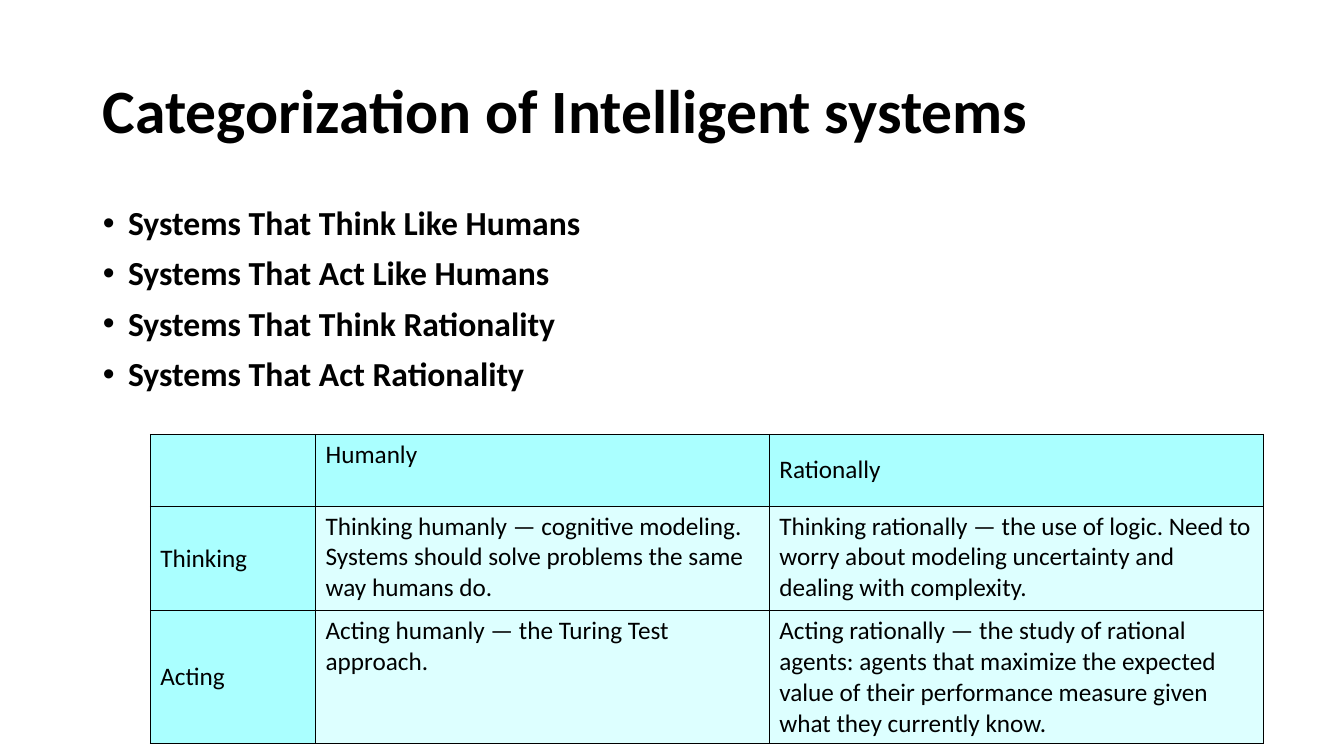
from dataclasses import dataclass
from typing import Any

from lxml.etree import SubElement
from pptx import Presentation
from pptx.dml.color import RGBColor
from pptx.enum.text import MSO_ANCHOR, MSO_AUTO_SIZE, PP_ALIGN
from pptx.oxml.ns import qn
from pptx.util import Inches, Pt

BLACK = "000000"
HEADING_FILL = "AAFFFF"
DETAIL_FILL = "DDFFFF"
COLUMN_WIDTHS = (1.64, 4.5, 4.9)
ROW_HEIGHTS = (0.71, 1.04, 1.32)
BULLET_INDENT = Inches(0.25)

FRAME_FORMAT = {"word_wrap": True, "auto_size": MSO_AUTO_SIZE.NONE}
HEADLINE_FONT = {"name": "Calibri", "size": Pt(44), "bold": True}
SYSTEM_FONT = {"name": "Calibri", "size": Pt(24), "bold": True}
CELL_FONT = {"name": "Calibri", "size": Pt(18), "bold": False}

SYSTEMS = (
    "Systems That Think Like Humans",
    "Systems That Act Like Humans",
    "Systems That Think Rationality",
    "Systems That Act Rationality",
)


@dataclass(frozen=True)
class Category:
    text: str
    fill: str = DETAIL_FILL
    anchor: MSO_ANCHOR = MSO_ANCHOR.TOP


def heading(text: str, anchor: MSO_ANCHOR = MSO_ANCHOR.MIDDLE) -> Category:
    return Category(text, HEADING_FILL, anchor)


CATEGORIES = (
    (heading(""), heading("Humanly", MSO_ANCHOR.TOP), heading("Rationally")),
    (
        heading("Thinking"),
        Category("Thinking humanly — cognitive modeling. Systems should solve "
                 "problems the same way humans do."),
        Category("Thinking rationally — the use of logic. Need to worry about "
                 "modeling uncertainty and dealing with complexity."),
    ),
    (
        heading("Acting"),
        Category("Acting humanly — the Turing Test approach."),
        Category("Acting rationally — the study of rational agents: agents that "
                 "maximize the expected value of their performance measure given "
                 "what they currently know."),
    ),
)


def colour(value: str) -> RGBColor:
    return RGBColor.from_string(value)


def apply_format(target: Any, values: dict[str, Any]) -> None:
    for attribute, value in values.items():
        setattr(target, attribute, value)


def format_font(paragraph: Any, values: dict[str, Any]) -> None:
    apply_format(paragraph.font, values)
    paragraph.font.color.rgb = colour(BLACK)


def place(placeholder: Any, left: float, top: float, width: float, height: float) -> None:
    apply_format(placeholder, {
        "left": Inches(left), "top": Inches(top),
        "width": Inches(width), "height": Inches(height),
    })
    apply_format(placeholder.text_frame, FRAME_FORMAT)


def add_bullet(paragraph: Any) -> None:
    properties = paragraph._p.get_or_add_pPr()
    properties.set("marL", str(BULLET_INDENT))
    properties.set("indent", str(-BULLET_INDENT))
    SubElement(properties, qn("a:buFont"), typeface="Arial")
    SubElement(properties, qn("a:buChar"), char="•")


def draw_headline(headline: Any) -> None:
    place(headline, 0.92, 0.4, 11.5, 1.45)
    headline.text_frame.text = "Categorization of Intelligent systems"
    headline.text_frame.vertical_anchor = MSO_ANCHOR.MIDDLE
    paragraph = headline.text_frame.paragraphs[0]
    apply_format(paragraph, {"alignment": PP_ALIGN.LEFT, "line_spacing": 0.9})
    format_font(paragraph, HEADLINE_FONT)


def draw_systems(systems: Any) -> None:
    place(systems, 0.92, 2, 11.5, 4.76)
    systems.text_frame.text = "\n".join(SYSTEMS)
    for index, paragraph in enumerate(systems.text_frame.paragraphs):
        apply_format(paragraph, {
            "line_spacing": 0.9, "space_before": Pt(10 if index else 0),
        })
        add_bullet(paragraph)
        format_font(paragraph, SYSTEM_FONT)


def add_borders(cell: Any) -> None:
    properties = cell._tc.get_or_add_tcPr()
    for side in ("a:lnL", "a:lnR", "a:lnT", "a:lnB"):
        border = SubElement(properties, qn(side), w=str(Pt(0.75)))
        border_fill = SubElement(border, qn("a:solidFill"))
        SubElement(border_fill, qn("a:srgbClr"), val=BLACK)


def draw_category(cell: Any, category: Category) -> None:
    add_borders(cell)
    cell.fill.solid()
    cell.fill.fore_color.rgb = colour(category.fill)
    cell.text = category.text
    cell.vertical_anchor = category.anchor
    format_font(cell.text_frame.paragraphs[0], CELL_FONT)


def draw_categories(slide: Any) -> None:
    matrix = slide.shapes.add_table(
        len(ROW_HEIGHTS), len(COLUMN_WIDTHS), Inches(1.49), Inches(4.31),
        Inches(sum(COLUMN_WIDTHS)), Inches(sum(ROW_HEIGHTS)),
    ).table
    apply_format(matrix, {"first_row": False, "horz_banding": False})
    for column, width in zip(matrix.columns, COLUMN_WIDTHS):
        column.width = Inches(width)
    for row, height, categories in zip(matrix.rows, ROW_HEIGHTS, CATEGORIES):
        row.height = Inches(height)
        for cell, category in zip(row.cells, categories):
            draw_category(cell, category)


def main() -> None:
    presentation = Presentation()
    apply_format(presentation, {
        "slide_width": Inches(13.33), "slide_height": Inches(7.5),
    })
    slide = presentation.slides.add_slide(presentation.slide_layouts[1])
    draw_headline(slide.shapes.title)
    draw_systems(slide.placeholders[1])
    draw_categories(slide)
    presentation.save("out.pptx")


if __name__ == "__main__":
    main()
